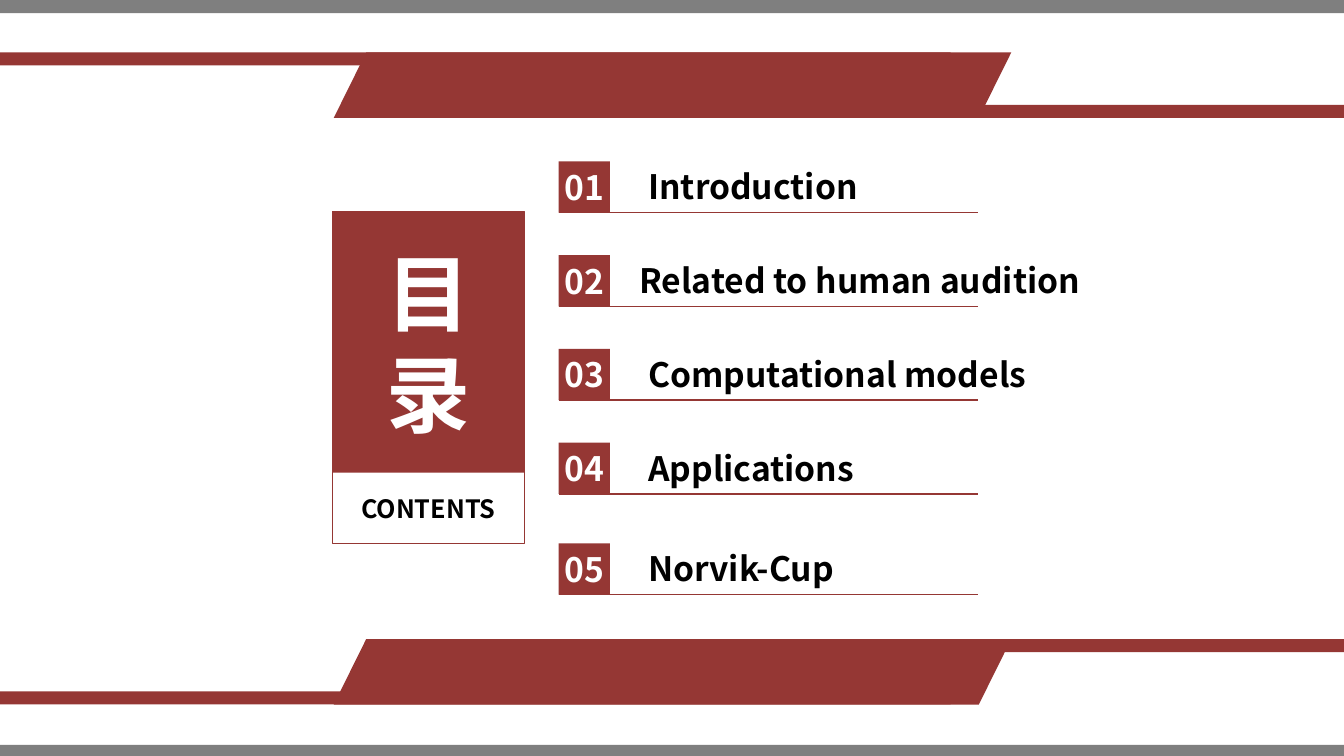
from pptx import Presentation
from pptx.dml.color import RGBColor
from pptx.enum.shapes import MSO_CONNECTOR, MSO_SHAPE
from pptx.enum.text import MSO_ANCHOR, PP_ALIGN
from pptx.oxml.ns import qn
from pptx.util import Inches, Pt
from lxml.etree import SubElement

RED = RGBColor(0x95, 0x37, 0x34)
GRAY = RGBColor(0x7F, 0x7F, 0x7F)
BLACK = RGBColor(0, 0, 0)
WHITE = RGBColor(0xFF, 0xFF, 0xFF)
FONT = "Noto Sans CJK SC"
WIDTH, HEIGHT = 13.33, 7.5
BAR = 0.13
NUMBER_SIDE = 0.51
ROW_TOP, ROW_PITCH, LAST_ROW_TOP = 1.6, 0.93, 5.39
TOPICS = [
    ("Introduction", 0.89),
    ("Related to human audition", 0.8),
    ("Computational models", 0.89),
    ("Applications", 0.89),
    ("Norvik-Cup", 0.89),
]


def add_box(slide, left, top, width, height, fill=None, line=None,
            kind=MSO_SHAPE.RECTANGLE):
    sp = slide.shapes.add_shape(
        kind, Inches(left), Inches(top), Inches(width), Inches(height))
    sp.shadow.inherit = False
    if fill is None:
        sp.fill.background()
    else:
        sp.fill.solid()
        sp.fill.fore_color.rgb = fill
    if line is None:
        sp.line.fill.background()
    else:
        sp.line.color.rgb = line
        sp.line.width = Pt(1)
    return sp


def set_text(sp, text, size, color, align=PP_ALIGN.CENTER):
    tf = sp.text_frame
    tf.word_wrap = True
    tf.vertical_anchor = MSO_ANCHOR.MIDDLE
    tf.margin_left = tf.margin_right = 0
    tf.margin_top = tf.margin_bottom = 0
    p = tf.paragraphs[0]
    p.text = text
    p.alignment = align
    p.font.name = FONT
    p.font.size = Pt(size)
    p.font.bold = True
    p.font.color.rgb = color
    r_pr = p.runs[0].font._element
    SubElement(r_pr, qn("a:ea")).set("typeface", FONT)


def add_text(slide, left, top, width, height, text, size, color,
             align=PP_ALIGN.CENTER):
    sp = slide.shapes.add_textbox(
        Inches(left), Inches(top), Inches(width), Inches(height))
    set_text(sp, text, size, color, align)


def add_band(slide, top, height, left_bar_top, right_bar_top):
    add_box(slide, 0, left_bar_top, 9.43, BAR, RED)
    add_box(slide, 3.9, right_bar_top, WIDTH - 3.9, BAR, RED)
    sp = add_box(slide, 3.31, top, 6.72, height, RED,
                 kind=MSO_SHAPE.PARALLELOGRAM)
    sp.adjustments[0] = 0.496


def add_frame(slide):
    height = 0.65
    top, bottom = 0.52, 6.34
    drop = height - BAR
    add_box(slide, 0, 0, WIDTH, BAR, GRAY)
    add_box(slide, 0, 7.39, WIDTH, HEIGHT - 7.39, GRAY)
    add_band(slide, top, height, top, top + drop)
    add_band(slide, bottom, height, bottom + drop, bottom)


def add_title_panel(slide, left, top, width, height):
    red_height = 2.59
    add_box(slide, left, top, width, height, line=RED)
    add_box(slide, left, top, width, red_height, RED)
    add_text(slide, left + 0.3, top + 0.24, width - 0.6, 2.12,
             "目录", 60, WHITE)
    add_text(slide, left, top + red_height, width, height - red_height,
             "CONTENTS", 18, BLACK)


def add_topic(slide, left, top, width, number, topic, indent):
    rule = top + NUMBER_SIDE
    line = slide.shapes.add_connector(
        MSO_CONNECTOR.STRAIGHT, Inches(left), Inches(rule),
        Inches(left + width), Inches(rule))
    line.line.color.rgb = RED
    line.line.width = Pt(1)
    SubElement(line._element.spPr, qn("a:effectLst"))
    sp = add_box(slide, left, top, NUMBER_SIDE, NUMBER_SIDE, RED)
    set_text(sp, f"{number:02d}", 24, WHITE)
    add_text(slide, left + indent, top, 4.6, 0.5, topic, 24, BLACK,
             PP_ALIGN.LEFT)


def add_topics(slide, left, width):
    for i, (topic, indent) in enumerate(TOPICS):
        last = i == len(TOPICS) - 1
        top = LAST_ROW_TOP if last else ROW_TOP + i * ROW_PITCH
        add_topic(slide, left, top, width, i + 1, topic, indent)


def main():
    prs = Presentation()
    prs.slide_width = Inches(WIDTH)
    prs.slide_height = Inches(HEIGHT)
    slide = prs.slides.add_slide(prs.slide_layouts[6])
    add_frame(slide)
    add_title_panel(slide, 3.3, 2.1, 1.9, 3.29)
    add_topics(slide, 5.54, 4.16)
    prs.save("out.pptx")


if __name__ == "__main__":
    main()
